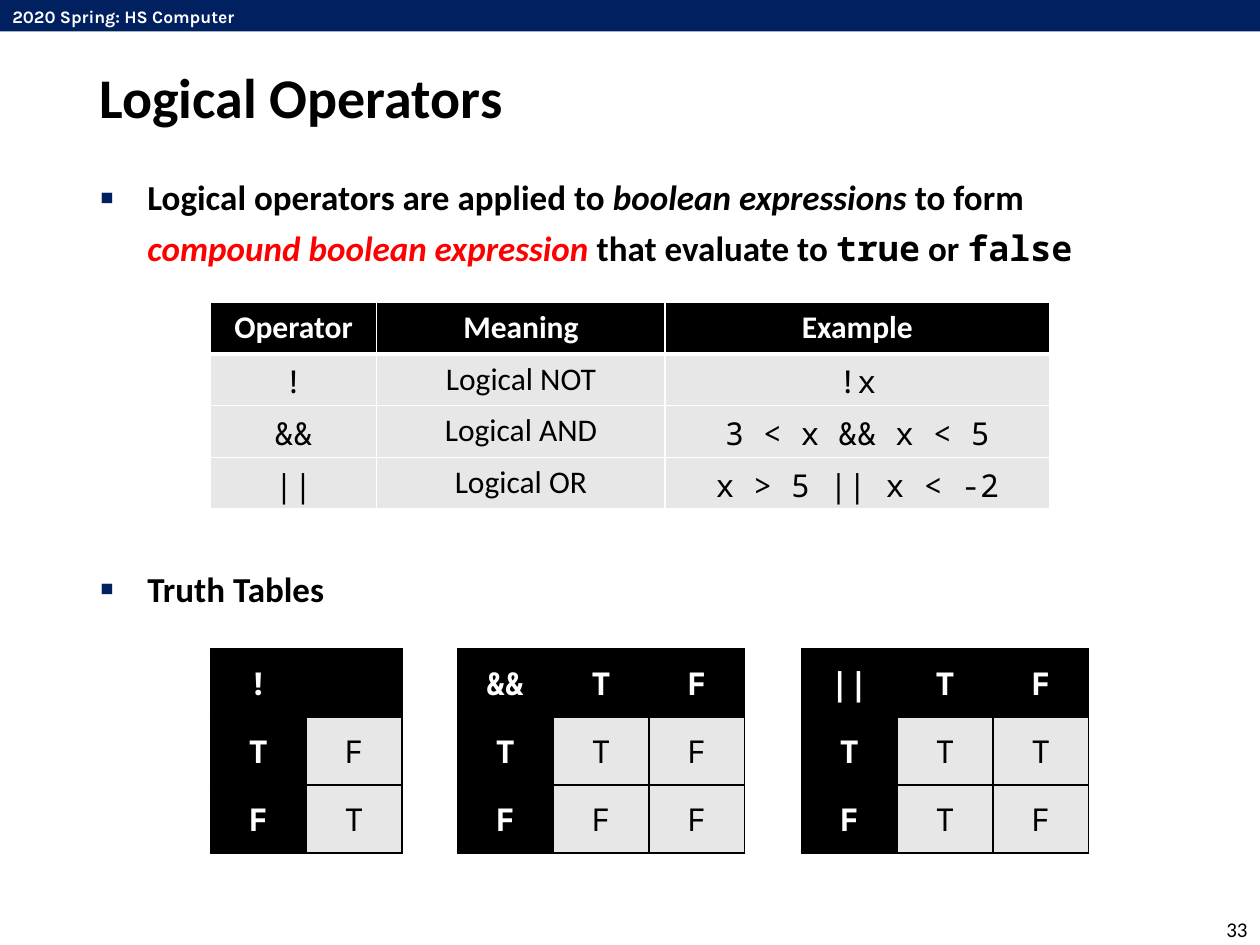
"""Build a slide on logical operators with an operator table and three truth tables."""
from lxml import etree
from pptx import Presentation
from pptx.dml.color import RGBColor
from pptx.enum.shapes import MSO_SHAPE
from pptx.enum.text import MSO_ANCHOR, MSO_AUTO_SIZE, PP_ALIGN
from pptx.oxml import parse_xml
from pptx.oxml.ns import nsdecls, qn
from pptx.util import Inches, Pt

RECTANGLE = MSO_SHAPE.RECTANGLE
TOP, MIDDLE = MSO_ANCHOR.TOP, MSO_ANCHOR.MIDDLE
NO_FIT = MSO_AUTO_SIZE.NONE
LEFT, CENTER, RIGHT = PP_ALIGN.LEFT, PP_ALIGN.CENTER, PP_ALIGN.RIGHT
NAVY = RGBColor(0x00, 0x20, 0x60)
BLACK = RGBColor(0x00, 0x00, 0x00)
WHITE = RGBColor(0xFF, 0xFF, 0xFF)
RED = RGBColor(0xFF, 0x00, 0x00)
GRAY = RGBColor(0xE7, 0xE7, 0xE7)
SANS, MONO, BANNER = "Calibri", "Noto Sans Mono", "Karla"


def write(para, text, font=SANS, size=18, color=BLACK, bold=False, italic=False, align=LEFT):
    para.alignment = align
    span = para.add_run()
    span.text = text
    span.font.name = font
    span.font.size = Pt(size)
    span.font.color.rgb = color
    span.font.bold = bold
    span.font.italic = italic


def draw_table(left, top, widths, row_height, rows, fonts, header_font, border,
               header_column=False, header_line=1, anchor=TOP):
    frame = page.shapes.add_table(len(rows), len(widths), Inches(left), Inches(top),
                                  Inches(sum(widths)), Inches(row_height * len(rows)))
    table = frame.table
    for column, width in zip(table.columns, widths):
        column.width = Inches(width)
    for row_index, texts in enumerate(rows):
        table.rows[row_index].height = Inches(row_height)
        for column_index, text in enumerate(texts):
            cell = table.cell(row_index, column_index)
            header = row_index == 0 or (header_column and column_index == 0)
            cell.vertical_anchor = anchor
            cell.fill.solid()
            cell.fill.fore_color.rgb = BLACK if header else GRAY
            if text:
                write(cell.text_frame.paragraphs[0], text, align=CENTER, bold=header,
                      font=header_font if row_index == 0 else fonts[column_index],
                      color=WHITE if header else BLACK)
            line_widths = {"L": 1, "R": 1, "T": header_line if row_index == 1 else 1,
                           "B": header_line if row_index == 0 else 1}
            for position, (side, points) in enumerate(line_widths.items()):
                cell._tc.get_or_add_tcPr().insert(position, parse_xml(
                    f'<a:ln{side} {nsdecls("a")} w="{Pt(points)}"><a:solidFill>'
                    f'<a:srgbClr val="{border}"/></a:solidFill></a:ln{side}>'))


deck = Presentation()
deck.slide_width, deck.slide_height = Inches(10), Inches(7.5)
page = deck.slides.add_slide(deck.slide_layouts[1])

banner = page.shapes.add_shape(RECTANGLE, 0, 0, Inches(10), Inches(0.25))
banner.shadow.inherit = False
banner.fill.solid()
banner.fill.fore_color.rgb = NAVY
banner.line.fill.background()

course = page.shapes.add_textbox(0, 0, Inches(2.31), Inches(0.27))
course.text_frame.word_wrap = False
write(course.text_frame.paragraphs[0], "2020 Spring: HS Computer", font=BANNER, size=10,
      color=WHITE, bold=True)

number = page.shapes.add_textbox(Inches(9.37), Inches(7.25), Inches(0.63), Inches(0.25))
number.text_frame.word_wrap = True
number.text_frame.vertical_anchor = MIDDLE
write(number.text_frame.paragraphs[0], "33", size=12, align=RIGHT)

title = page.shapes.title
title.left, title.top, title.width, title.height = map(Inches, (0.69, 0.4, 8.62, 0.73))
title.text_frame.vertical_anchor = MIDDLE
title.text_frame.auto_size = NO_FIT
write(title.text_frame.paragraphs[0], "Logical Operators", size=32, bold=True)

body = page.placeholders[1]
body.left, body.top, body.width, body.height = map(Inches, (0.69, 1.28, 8.62, 5.83))
body.text_frame.auto_size = NO_FIT
bullets = [
    (0, [("Logical operators are applied to ", {}),
         ("boolean expressions ", {"italic": True}),
         ("to form ", {}),
         ("compound boolean expression", {"italic": True, "color": RED}),
         (" that evaluate to ", {}),
         ("true", {"font": MONO}),
         (" or ", {}),
         ("false", {"font": MONO})]),
    (166, [("Truth Tables", {})]),
]
for index, (space, spans) in enumerate(bullets):
    para = body.text_frame.add_paragraph() if index else body.text_frame.paragraphs[0]
    properties = para._p.get_or_add_pPr()
    properties.set("marL", str(Inches(0.38)))
    properties.set("indent", str(Inches(-0.38)))
    bullet_color = etree.SubElement(properties, qn("a:buClr"))
    etree.SubElement(bullet_color, qn("a:srgbClr"), val=str(NAVY))
    etree.SubElement(properties, qn("a:buSzPct"), val="120000")
    etree.SubElement(properties, qn("a:buChar"), char="▪")
    para.line_spacing = 1.2
    para.space_before = Pt(space)
    for text, style in spans:
        write(para, text, size=20, bold=True, **style)

operators = [
    ("Operator", "Meaning", "Example"),
    ("!", "Logical NOT", "!x"),
    ("&&", "Logical AND", "3 < x && x < 5"),
    ("||", "Logical OR", "x > 5 || x < -2"),
]
draw_table(1.67, 2.4, (1.32, 2.29, 3.05), 0.41, operators, (MONO, SANS, MONO), SANS, WHITE,
           header_line=3)

truth_tables = [
    (1.67, [("!", ""), ("T", "F"), ("F", "T")]),
    (3.63, [("&&", "T", "F"), ("T", "T", "F"), ("F", "F", "F")]),
    (6.36, [("||", "T", "F"), ("T", "T", "T"), ("F", "T", "F")]),
]
for left, rows in truth_tables:
    columns = len(rows[0])
    draw_table(left, 5.15, [0.76] * columns, 0.54, rows, [MONO] * columns, MONO, BLACK,
               header_column=True, anchor=MIDDLE)

deck.save("out.pptx")
